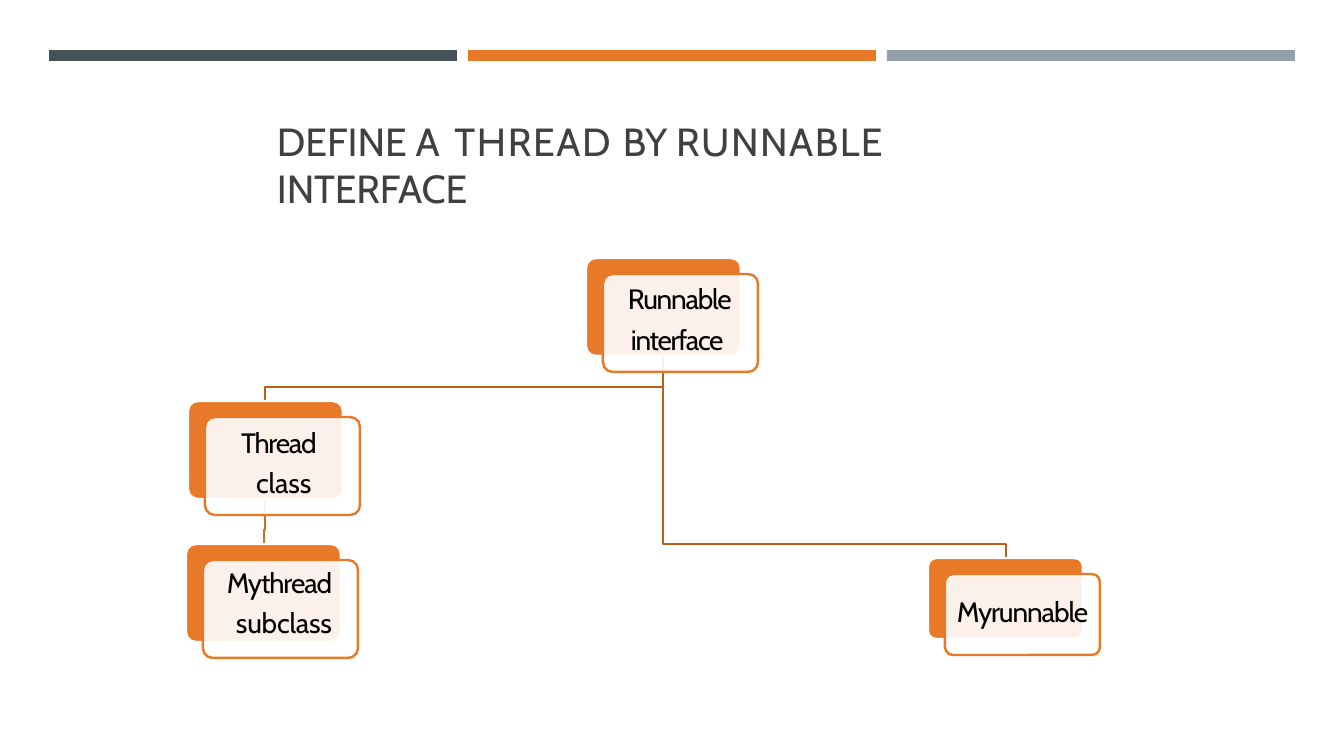
"""Build the slide that shows how a thread is defined by the Runnable interface."""
from lxml.etree import SubElement
from pptx import Presentation
from pptx.dml.color import RGBColor
from pptx.enum.shapes import MSO_SHAPE
from pptx.enum.text import MSO_ANCHOR, MSO_AUTO_SIZE, PP_ALIGN
from pptx.oxml.ns import qn
from pptx.util import Inches, Pt

PX = Inches(1) / 100.8
ORANGE, WHITE, BLACK = "E77929", "FFFFFF", "000000"

TITLE_BOX = (276, 116, 790, 49)
TITLE = [dict(indent=1, before=1, runs=[
    ("DEFINE ", 0), ("A ", 2.1), ("THREAD ", 1.2), ("BY ", 0),
    ("RUNNABLE ", 1.1), ("INTERFACE", -0.1)])]

BAR_COLORS = ["465257", ORANGE, "949FA7"]
BAR_LEFT, BAR_TOP, BAR_WIDTH, BAR_HEIGHT, BAR_PITCH = 49, 50, 408, 11, 419

CARD_WIDTH, CARD_SHIFT, CARD_ROUNDING = 155, (17, 16), 0.1
CARDS = [
    dict(corner=(586, 258), height=98, text_box=(627, 274, 108, 85), inset=8, paras=[
        dict(indent=1, before=6, runs=[("Runnable", -0.9)]),
        dict(indent=4, before=5, runs=[("interface", -1)])]),
    dict(corner=(188, 401), height=98, text_box=(240, 417, 84, 84), inset=1, paras=[
        dict(indent=16, hang=15, before=1, spacing=1.21,
             runs=[("Thread ", -0.9), ("class", -0.1)])]),
    dict(corner=(186, 544), height=98, text_box=(226, 557, 110, 84), inset=8, paras=[
        dict(indent=1, before=6, runs=[("Mythread", -0.8)]),
        dict(indent=10, before=5, runs=[("subclass", -0.2)])]),
    dict(corner=(928, 558), height=81, text_box=(956, 593, 136, 36), inset=1, paras=[
        dict(indent=1, before=1, runs=[("Myrunnable", -0.8)])]),
]

BRANCHES = [
    ("B85F1E", [(663, 357), (663, 544), (1006, 544), (1006, 558)]),
    ("B85F1E", [(663, 357), (663, 387), (265, 387), (265, 401)]),
    ("D16D22", [(265, 499), (265, 530), (264, 530), (264, 544)]),
]


def emu(*lengths):
    """Turn px into EMU."""
    return [round(length * PX) for length in lengths]


def color(value):
    """Turn a hex string into a colour."""
    return RGBColor.from_string(value)


def paint(shape, fill=None, line=None, opacity=100):
    """Set fill, outline and opacity, without a shadow."""
    shape.shadow.inherit = False
    if fill:
        shape.fill.solid()
        shape.fill.fore_color.rgb = color(fill)
    else:
        shape.fill.background()
    if opacity < 100:
        tint = shape.element.spPr.find(qn("a:solidFill")).find(qn("a:srgbClr"))
        SubElement(tint, qn("a:alpha"), val=str(opacity * 1000))
    if line:
        shape.line.color.rgb = color(line)
        shape.line.width = Pt(1.75)
    else:
        shape.line.fill.background()


def write(frame, paras, size=20, font="Cabin", ink=BLACK, inset=1):
    """Fill a text frame with paragraphs of letter-spaced runs."""
    frame.word_wrap = True
    frame.auto_size = MSO_AUTO_SIZE.NONE
    frame.vertical_anchor = MSO_ANCHOR.TOP
    frame.margin_left = frame.margin_right = frame.margin_bottom = 0
    frame.margin_top = emu(inset)[0]
    for index, item in enumerate(paras):
        para = frame.add_paragraph() if index else frame.paragraphs[0]
        para.alignment = PP_ALIGN.LEFT
        para.space_before = Pt(item["before"])
        para.line_spacing = item.get("spacing", 1.0)
        margin, hang = emu(item["indent"], item.get("hang", 0))
        properties = para._p.get_or_add_pPr()
        properties.set("marL", str(margin))
        properties.set("indent", str(-hang))
        for text, tracking in item["runs"]:
            span = para.add_run()
            span.text = text
            span.font.size = Pt(size)
            span.font.name = font
            span.font.color.rgb = color(ink)
            span._r.get_or_add_rPr().set("spc", str(round(tracking * 100)))


def add_branch(page, ink, points):
    """Draw one angled line of the tree."""
    builder = page.shapes.build_freeform(*points[0], scale=PX)
    builder.add_line_segments(points[1:], close=False)
    paint(builder.convert_to_shape(), line=ink)


def add_card(page, corner, height, text_box, inset, paras):
    """Draw an orange card, its translucent front and its label."""
    left, top = corner
    right_shift, down_shift = CARD_SHIFT
    layers = [(left, top, ORANGE, WHITE, 100),
              (left + right_shift, top + down_shift, WHITE, ORANGE, 90)]
    for x, y, fill, line, opacity in layers:
        layer = page.shapes.add_shape(MSO_SHAPE.ROUNDED_RECTANGLE, *emu(x, y, CARD_WIDTH, height))
        layer.adjustments[0] = CARD_ROUNDING
        paint(layer, fill, line, opacity)
    label = page.shapes.add_textbox(*emu(*text_box))
    write(label.text_frame, paras, inset=inset)


def main():
    """Build and save the deck."""
    deck = Presentation()
    deck.slide_width, deck.slide_height = emu(1344, 756)
    page = deck.slides.add_slide(deck.slide_layouts[5])

    for index, fill in enumerate(BAR_COLORS):
        bar = page.shapes.add_shape(MSO_SHAPE.RECTANGLE, *emu(
            BAR_LEFT + index * BAR_PITCH, BAR_TOP, BAR_WIDTH, BAR_HEIGHT))
        paint(bar, fill)

    title = page.shapes.title
    title.left, title.top, title.width, title.height = emu(*TITLE_BOX)
    write(title.text_frame, TITLE, size=28, ink="404040")

    for ink, points in BRANCHES:
        add_branch(page, ink, points)
    for card in CARDS:
        add_card(page, **card)

    deck.save("out.pptx")


if __name__ == "__main__":
    main()
